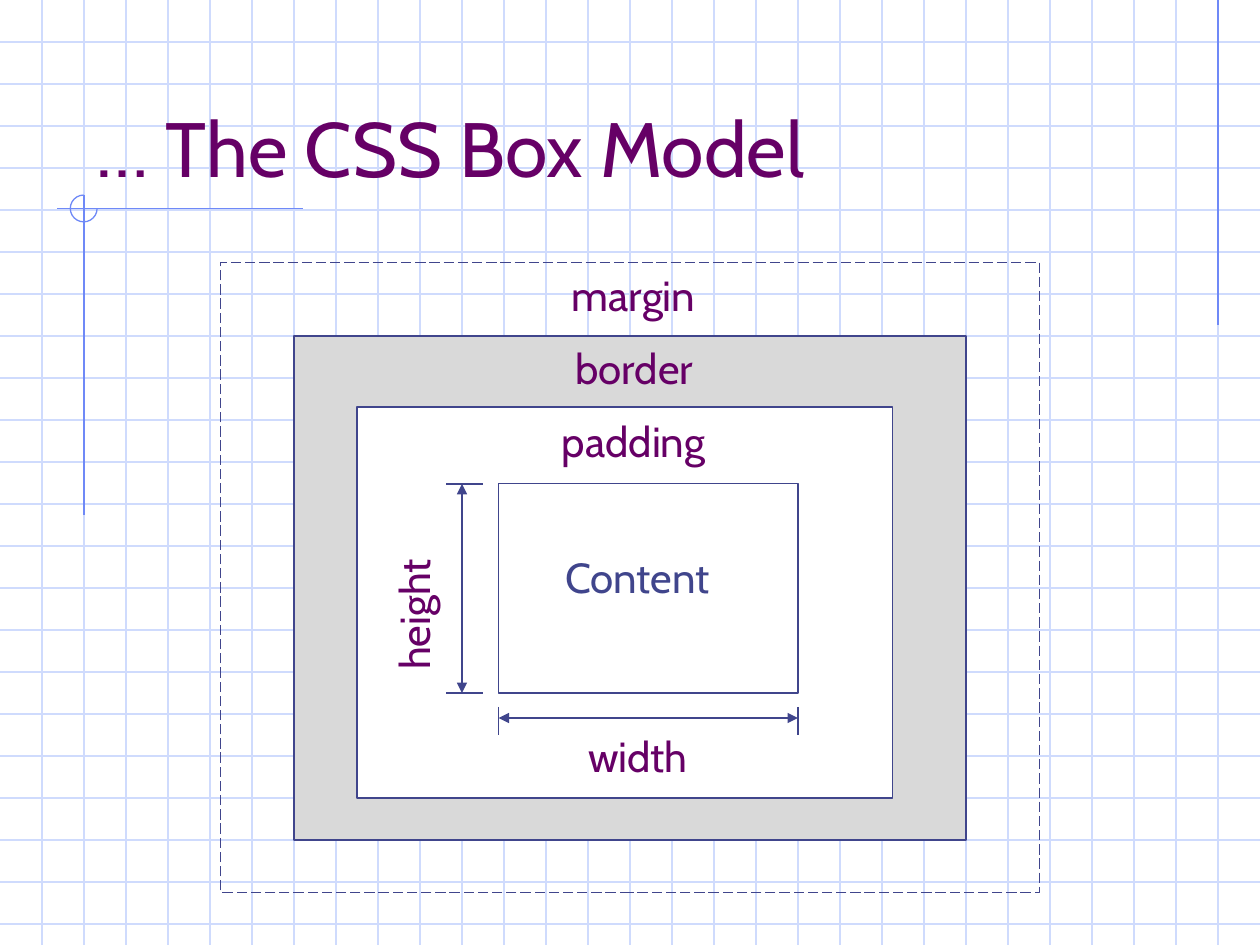
from dataclasses import dataclass

from pptx import Presentation
from pptx.dml.color import RGBColor
from pptx.enum.dml import MSO_LINE
from pptx.enum.shapes import MSO_CONNECTOR, MSO_SHAPE
from pptx.enum.text import MSO_ANCHOR, MSO_AUTO_SIZE
from pptx.oxml.ns import qn
from pptx.util import Pt


@dataclass(frozen=True)
class Theme:
    font: str = "Cabin"
    title_size: float = 44
    label_size: float = 24
    line_width: float = 0.75
    heading: RGBColor = RGBColor(0x66, 0x00, 0x66)
    ink: RGBColor = RGBColor(0x40, 0x45, 0x8C)
    grid: RGBColor = RGBColor(0xCF, 0xDB, 0xFD)
    accent: RGBColor = RGBColor(0x6F, 0x89, 0xF7)
    border_fill: RGBColor = RGBColor(0xD9, 0xD9, 0xD9)
    white: RGBColor = RGBColor(0xFF, 0xFF, 0xFF)


THEME = Theme()
SLIDE_WIDTH, SLIDE_HEIGHT = 720, 540
GRID_STEP = 24
CONTENT_LEFT, CONTENT_TOP, CONTENT_RIGHT, CONTENT_BOTTOM = 285, 276.5, 456, 396


def apply_format(target, values):
    for name, value in values.items():
        setattr(target, name, value)


def add_line(slide, start, end, color, arrows=False):
    line = slide.shapes.add_connector(
        MSO_CONNECTOR.STRAIGHT, *(Pt(value) for value in (*start, *end)))
    line.line.color.rgb = color
    line.line.width = Pt(THEME.line_width)
    properties = line._element.spPr
    if arrows:
        outline = line.line._get_or_add_ln()
        for tag in ("a:headEnd", "a:tailEnd"):
            outline.append(outline.makeelement(qn(tag), {"type": "triangle"}))
    properties.append(properties.makeelement(qn("a:effectLst"), {}))


def add_outline(slide, kind, box, color, fill=None, dash=None):
    shape = slide.shapes.add_shape(kind, *(Pt(value) for value in box))
    shape.shadow.inherit = False
    if fill is None:
        shape.fill.background()
    else:
        shape.fill.solid()
        shape.fill.fore_color.rgb = fill
    shape.line.color.rgb = color
    apply_format(shape.line, {"width": Pt(THEME.line_width), "dash_style": dash})
    return shape


def add_text(slide, text, box, size, color, frame_format, rotation=0):
    text_box = slide.shapes.add_textbox(*(Pt(value) for value in box))
    text_box.rotation = rotation
    apply_format(text_box.text_frame, frame_format)
    paragraph = text_box.text_frame.paragraphs[0]
    run = paragraph.add_run()
    run.text = text
    apply_format(run.font, {"name": THEME.font, "size": Pt(size)})
    run.font.color.rgb = color


def add_label(slide, text, left, top, width, color=THEME.heading, rotation=0):
    frame_format = {"word_wrap": False, "auto_size": MSO_AUTO_SIZE.SHAPE_TO_FIT_TEXT}
    add_text(slide, text, (left, top, width, 36), THEME.label_size, color,
             frame_format, rotation)


def add_background_grid(slide):
    for y in range(GRID_STEP, SLIDE_HEIGHT, GRID_STEP):
        add_line(slide, (0, y), (SLIDE_WIDTH, y), THEME.grid)
    for x in range(GRID_STEP, SLIDE_WIDTH, GRID_STEP):
        add_line(slide, (x, 0), (x, SLIDE_HEIGHT), THEME.grid)


def add_accents(slide):
    add_line(slide, (696, 0), (696, 186), THEME.accent)
    add_line(slide, (173, 119.3), (32.5, 119.3), THEME.accent)
    add_line(slide, (48, 111.5), (48, 294.5), THEME.accent)
    arc = add_outline(slide, MSO_SHAPE.ARC, (40.2, 111.5, 15.3, 15.3), THEME.accent)
    # Three quarters of a circle; arc angles are stored in 60000ths of a degree.
    arc.adjustments[0] = 0
    arc.adjustments[1] = 270 * 0.6


def add_boxes(slide):
    content = (CONTENT_LEFT, CONTENT_TOP,
               CONTENT_RIGHT - CONTENT_LEFT, CONTENT_BOTTOM - CONTENT_TOP)
    for box, fill, dash in (
        ((168, 192, 384, 288), THEME.border_fill, None),
        ((204, 232.5, 306, 223.5), THEME.white, None),
        ((126, 150, 468, 360), None, MSO_LINE.LONG_DASH),
        (content, THEME.white, None),
    ):
        add_outline(slide, MSO_SHAPE.RECTANGLE, box, THEME.ink, fill, dash)


def add_dimensions(slide):
    """Draw the height and width arrows with their end ticks."""
    add_line(slide, (264, CONTENT_TOP), (264, CONTENT_BOTTOM), THEME.ink, arrows=True)
    for y in (CONTENT_TOP, CONTENT_BOTTOM):
        add_line(slide, (255, y), (276, y), THEME.ink)
    add_line(slide, (CONTENT_LEFT, 410.3), (CONTENT_RIGHT, 410.3), THEME.ink, arrows=True)
    for x in (CONTENT_LEFT, CONTENT_RIGHT):
        add_line(slide, (x, 404), (x, 420), THEME.ink)


def main():
    presentation = Presentation()
    apply_format(presentation, {"slide_width": Pt(SLIDE_WIDTH),
                                "slide_height": Pt(SLIDE_HEIGHT)})
    slide = presentation.slides.add_slide(presentation.slide_layouts[6])
    add_background_grid(slide)
    add_accents(slide)
    add_text(slide, "… The CSS Box Model", (48, 24, 612, 90), THEME.title_size,
             THEME.heading, {"word_wrap": True, "vertical_anchor": MSO_ANCHOR.BOTTOM})
    add_boxes(slide)
    add_dimensions(slide)
    add_label(slide, "margin", 319.7, 150.5, 95.8)
    add_label(slide, "border", 321.8, 192, 91.4)
    add_label(slide, "padding", 314, 234, 108)
    add_label(slide, "height", 193, 328.3, 87.1, rotation=270)
    add_label(slide, "width", 329, 414, 77.8)
    add_label(slide, "Content", 316, 311.8, 104.4, THEME.ink)
    presentation.save("out.pptx")


if __name__ == "__main__":
    main()
